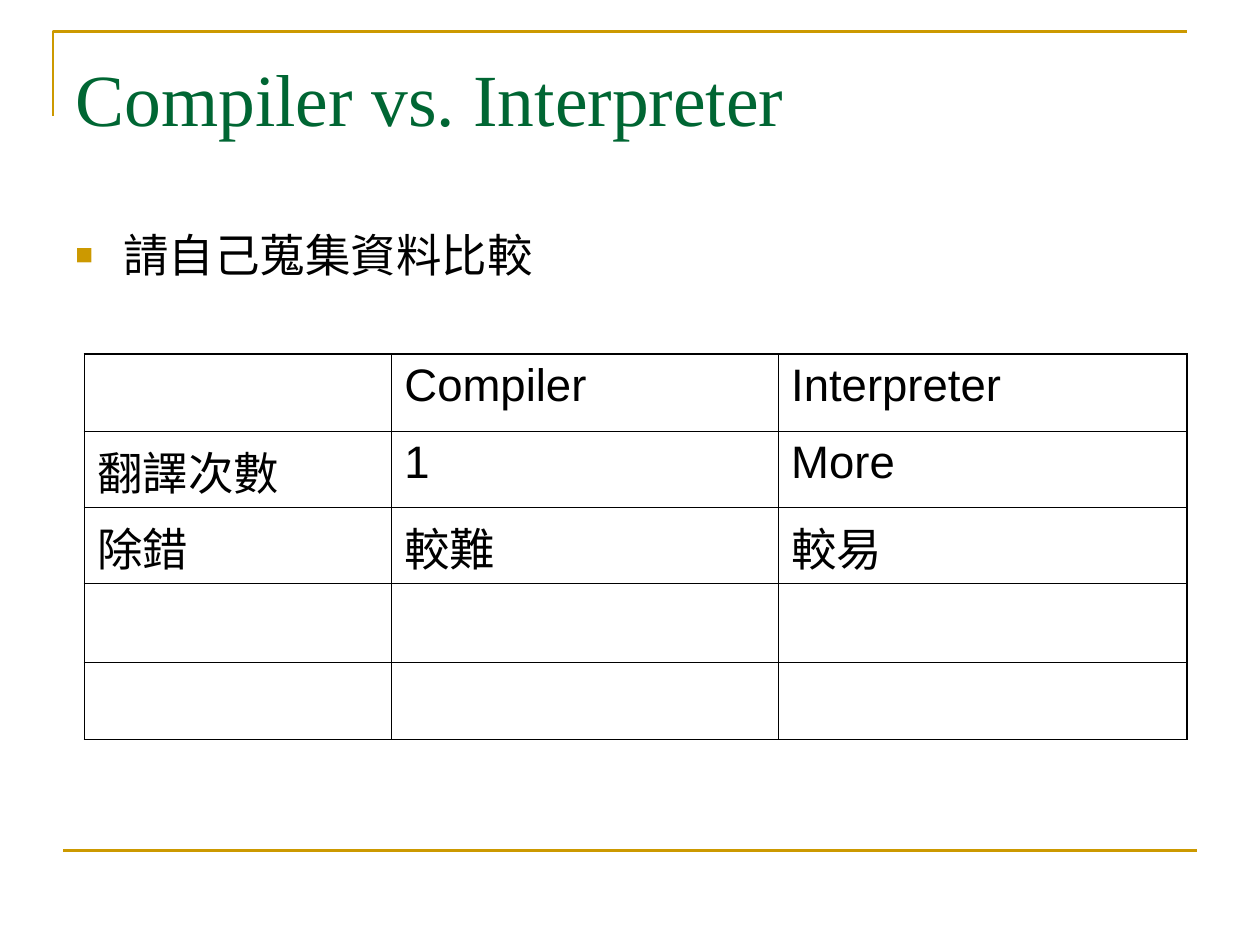
"""Build the slide comparing a compiler with an interpreter."""
from lxml.etree import SubElement
from pptx import Presentation
from pptx.dml.color import RGBColor
from pptx.enum.shapes import MSO_CONNECTOR
from pptx.enum.text import MSO_ANCHOR, PP_ALIGN
from pptx.oxml.ns import qn
from pptx.util import Inches, Pt

GOLD = RGBColor(0xCC, 0x99, 0x00)
GREEN = RGBColor(0x00, 0x66, 0x33)
BLACK = RGBColor(0x00, 0x00, 0x00)
THICK, THIN = Pt(1.08), Pt(0.45)
COLUMNS = [2.44, 3.07, 3.24]
ROWS = [0.61, 0.61, 0.6, 0.63, 0.61]
COMPARISON = [
    ["", "Compiler", "Interpreter"],
    ["翻譯次數", "1", "More"],
    ["除錯", "較難", "較易"],
    ["", "", ""],
    ["", "", ""],
]


def style_text(paragraph, size, font_name, color):
    paragraph.alignment = PP_ALIGN.LEFT
    for run in paragraph.runs:
        run.font.size = Pt(size)
        run.font.name = font_name
        run.font.color.rgb = color


def add_border(cell, side, width):
    border = SubElement(cell._tc.get_or_add_tcPr(), qn(f"a:{side}"), w=str(width))
    fill = SubElement(border, qn("a:solidFill"))
    SubElement(fill, qn("a:srgbClr"), val=str(BLACK))


prs = Presentation()
prs.slide_width, prs.slide_height = Inches(10), Inches(7.5)
slide = prs.slides.add_slide(prs.slide_layouts[5])

outline = slide.shapes.build_freeform(Inches(0.42), Inches(0.92))
outline.add_line_segments(
    [(Inches(0.42), Inches(0.25)), (Inches(9.42), Inches(0.25))], close=False
)
corner = outline.convert_to_shape()
corner.shadow.inherit = False
corner.fill.background()

footer_rule = slide.shapes.add_connector(
    MSO_CONNECTOR.STRAIGHT, Inches(0.5), Inches(6.75), Inches(9.5), Inches(6.75)
)
SubElement(footer_rule._element.spPr, qn("a:effectLst"))
for rule in (corner, footer_rule):
    rule.line.color.rgb = GOLD
    rule.line.width = Pt(1.5)

title = slide.shapes.title
title.left, title.top = Inches(0.5), Inches(0.3)
title.width, title.height = Inches(9), Inches(1.25)
title.text_frame.text = "Compiler vs. Interpreter"
title.text_frame.vertical_anchor = MSO_ANCHOR.TOP
title.text_frame.margin_top = Inches(0.12)
style_text(title.text_frame.paragraphs[0], 42, "Times New Roman", GREEN)

task = slide.shapes.add_textbox(Inches(0.5), Inches(1.75), Inches(4.42), Inches(4.95))
task.text_frame.word_wrap = True
task.text_frame.text = "請自己蒐集資料比較"
task_line = task.text_frame.paragraphs[0]
bullet = task_line._p.get_or_add_pPr()
bullet.set("marL", str(Inches(0.38)))
bullet.set("indent", str(-Inches(0.38)))
SubElement(SubElement(bullet, qn("a:buClr")), qn("a:srgbClr"), val=str(GOLD))
SubElement(bullet, qn("a:buSzPct"), val="65000")
SubElement(bullet, qn("a:buFont"), typeface="Arial")
SubElement(bullet, qn("a:buChar"), char="■")
style_text(task_line, 26, "Arial", BLACK)

table = slide.shapes.add_table(
    len(ROWS), len(COLUMNS), Inches(0.67), Inches(2.81),
    Inches(sum(COLUMNS)), Inches(sum(ROWS)),
).table
table.first_row = table.horz_banding = False
for column, width in zip(table.columns, COLUMNS):
    column.width = Inches(width)
for row, height in zip(table.rows, ROWS):
    row.height = Inches(height)

for r, entries in enumerate(COMPARISON):
    for c, entry in enumerate(entries):
        cell = table.cell(r, c)
        cell.text_frame.text = entry
        style_text(cell.text_frame.paragraphs[0], 26, "Arial", BLACK)
        edges = {
            "lnL": c == 0,
            "lnR": c == len(COLUMNS) - 1,
            "lnT": r == 0,
            "lnB": r == len(ROWS) - 1,
        }
        for side, is_outer in edges.items():
            add_border(cell, side, THICK if is_outer else THIN)
        cell.fill.background()

prs.save("out.pptx")
